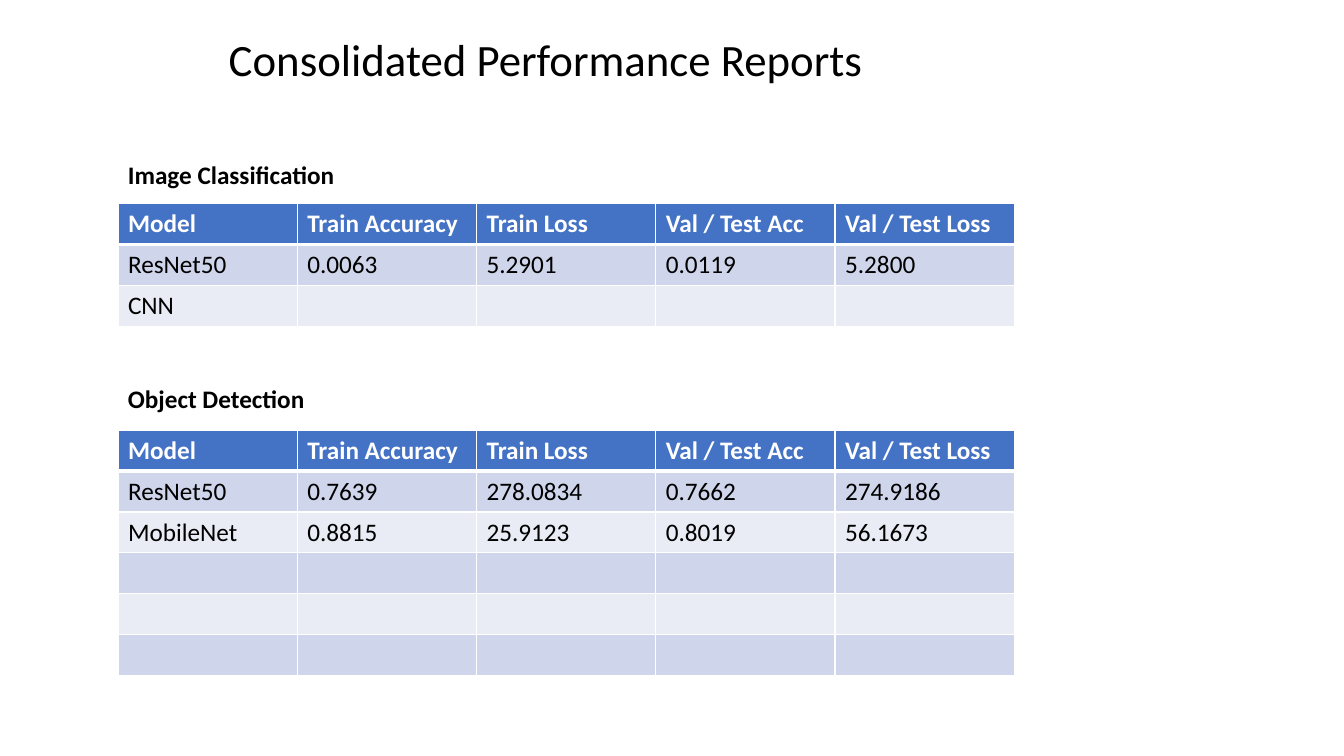
from dataclasses import dataclass

from lxml import etree
from pptx import Presentation
from pptx import util as u
from pptx.dml.color import RGBColor
from pptx.enum import text
from pptx.oxml import ns
from pptx.slide import Slide
from pptx.table import _Cell
from pptx.text.text import _Paragraph

BLACK = RGBColor(0x00, 0x00, 0x00)
WHITE = RGBColor(0xFF, 0xFF, 0xFF)
HEADER_BLUE = RGBColor(0x44, 0x72, 0xC4)
BANDS = (RGBColor(0xCF, 0xD5, 0xEA), RGBColor(0xE9, 0xEB, 0xF5))

FONT = "Calibri"
BODY_SIZE = 18
TITLE_SIZE = 32
THIN, THICK = 1, 3

LEFT = u.Inches(1.17)
TABLE_WIDTH = u.Inches(8.89)
HEADING_HEIGHT = u.Inches(0.4)
HEADERS = ("Model", "Train Accuracy", "Train Loss", "Val / Test Acc", "Val / Test Loss")


@dataclass(frozen=True)
class Report:
    heading: str
    heading_top: float
    heading_width: float
    table_top: float
    table_height: float
    results: tuple[tuple[str, ...], ...]
    empty_rows: int = 0


REPORTS = (
    Report(
        "Image Classification", 1.53, 2.26, 2.02, 1.22,
        (("ResNet50", "0.0063", "5.2901", "0.0119", "5.2800"), ("CNN",)),
    ),
    Report(
        "Object Detection", 3.75, 1.97, 4.27, 2.43,
        (
            ("ResNet50", "0.7639", "278.0834", "0.7662", "274.9186"),
            ("MobileNet", "0.8815", "25.9123", "0.8019", "56.1673"),
        ),
        empty_rows=3,
    ),
)


def add_span(para: _Paragraph, words: str, size: int, color: RGBColor, bold: bool) -> None:
    span = para.add_run()
    span.text = words
    span.font.name = FONT
    span.font.size = u.Pt(size)
    span.font.bold = bold
    span.font.color.rgb = color


def add_title(slide: Slide) -> None:
    box = slide.shapes.add_textbox(u.Inches(2.17), u.Inches(0.3), u.Inches(8.92), u.Inches(0.62))
    box.text_frame.word_wrap = True
    box.text_frame.vertical_anchor = text.MSO_ANCHOR.MIDDLE
    para = box.text_frame.paragraphs[0]
    para.line_spacing = 0.9
    add_span(para, "Consolidated Performance Reports", TITLE_SIZE, BLACK, bold=False)


def add_heading(slide: Slide, report: Report) -> None:
    box = slide.shapes.add_textbox(
        LEFT, u.Inches(report.heading_top), u.Inches(report.heading_width), HEADING_HEIGHT
    )
    box.text_frame.word_wrap = False
    box.text_frame.auto_size = text.MSO_AUTO_SIZE.SHAPE_TO_FIT_TEXT
    add_span(box.text_frame.paragraphs[0], report.heading, BODY_SIZE, BLACK, bold=True)


def set_borders(cell: _Cell, top: int, bottom: int) -> None:
    """Draw white borders; must run before the cell is filled."""
    properties = cell._tc.get_or_add_tcPr()
    for side, points in (("L", THIN), ("R", THIN), ("T", top), ("B", bottom)):
        line = etree.SubElement(properties, ns.qn(f"a:ln{side}"), w=str(u.Pt(points)))
        solid = etree.SubElement(line, ns.qn("a:solidFill"))
        etree.SubElement(solid, ns.qn("a:srgbClr"), val=str(WHITE))


def add_results_table(slide: Slide, report: Report) -> None:
    rows = (HEADERS, *report.results, *[()] * report.empty_rows)
    table = slide.shapes.add_table(
        len(rows), len(HEADERS), LEFT, u.Inches(report.table_top),
        TABLE_WIDTH, u.Inches(report.table_height),
    ).table
    for row_index, values in enumerate(rows):
        is_header = row_index == 0
        fill = HEADER_BLUE if is_header else BANDS[(row_index - 1) % 2]
        for column in range(len(HEADERS)):
            cell = table.cell(row_index, column)
            set_borders(
                cell,
                top=THICK if row_index == 1 else THIN,
                bottom=THICK if is_header else THIN,
            )
            cell.fill.solid()
            cell.fill.fore_color.rgb = fill
            para = cell.text_frame.paragraphs[0]
            para.font.size = u.Pt(BODY_SIZE)
            if column < len(values):
                color = WHITE if is_header else BLACK
                add_span(para, values[column], BODY_SIZE, color, bold=is_header)


def main() -> None:
    deck = Presentation()
    deck.slide_width = u.Inches(13.33)
    deck.slide_height = u.Inches(7.5)
    page = deck.slides.add_slide(deck.slide_layouts[6])
    add_title(page)
    for report in REPORTS:
        add_heading(page, report)
        add_results_table(page, report)
    deck.save("out.pptx")


if __name__ == "__main__":
    main()
